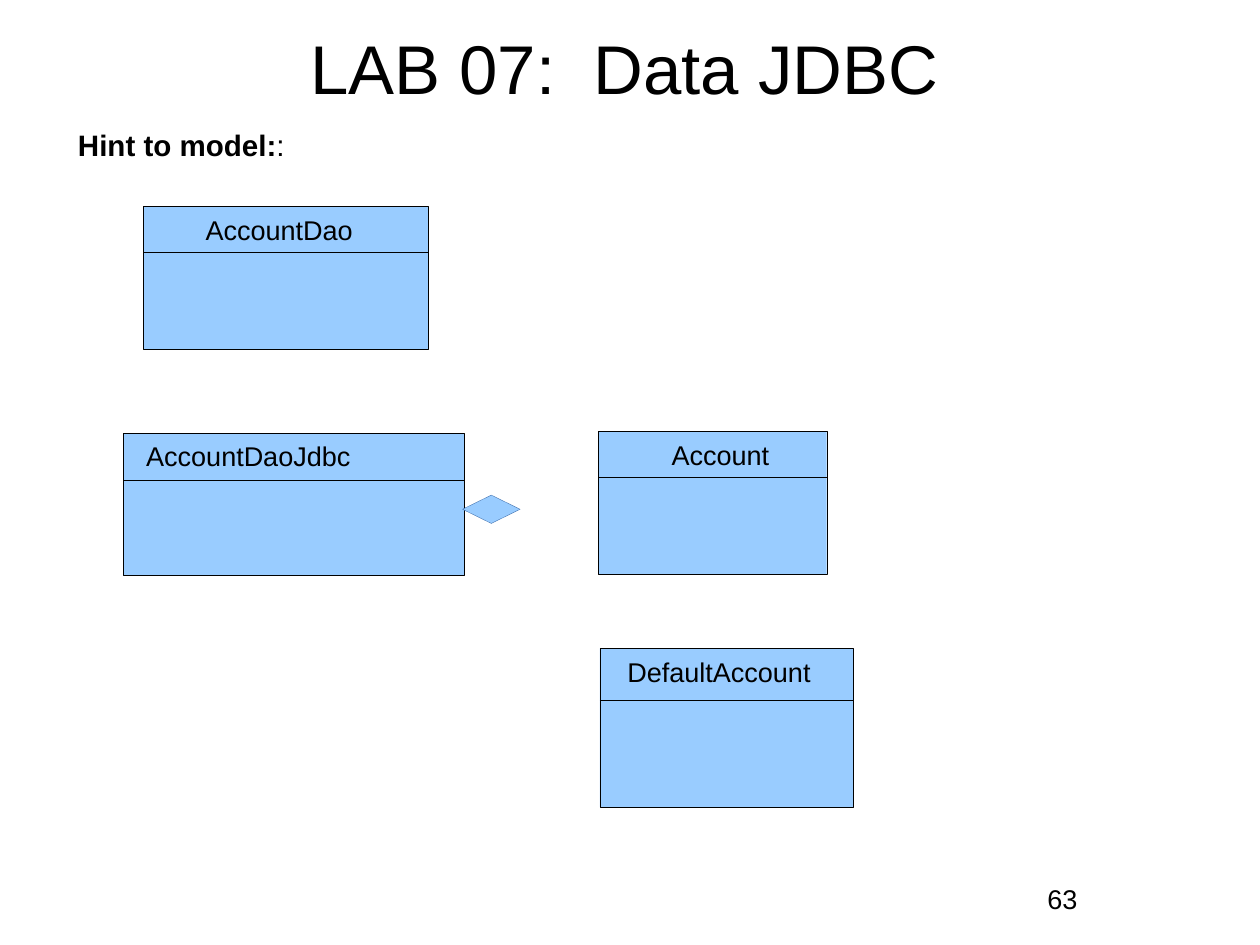
from pptx import Presentation, util as u
from pptx.dml.color import RGBColor
from pptx.enum import shapes, text
from pptx.oxml.ns import qn
from lxml import etree

BLACK = RGBColor(0x00, 0x00, 0x00)
SKY = RGBColor(0x99, 0xCC, 0xFF)
EDGE = RGBColor(0x34, 0x65, 0xA4)
HAIRLINE = u.Pt(0.25)
FONT = "Arial"
PAD = 0.06
NAME_DROP = 0.05  # from the top of a class box to its name

# Content: paragraphs are lists of (wording, bold)
TITLE = [("LAB 07:  Data JDBC", False)]
HINT = [("Hint to model:", True), (":", False)]
PAGE = [("63", False)]

# Class name, box (left, top, width, height), header height, name indent, name width
CLASSES = [
    ("AccountDao", (1.62, 2.33, 3.21, 1.61), 0.52, 0.64, 2.5),
    ("AccountDaoJdbc", (1.39, 4.89, 3.85, 1.61), 0.53, 0.2, 3.37),
    ("Account", (6.75, 4.87, 2.58, 1.61), 0.52, 0.77, 1.5),
    ("DefaultAccount", (6.77, 7.32, 2.86, 1.79), 0.58, 0.25, 2.45),
]
AGGREGATION = (5.22, 5.59, 0.65, 0.32)


def inches(*lengths):
    return [u.Inches(length) for length in lengths]


def write(holder, runs, size, pad=0, align=text.PP_ALIGN.LEFT,
          anchor=text.MSO_ANCHOR.TOP):
    frame = holder.text_frame
    frame.word_wrap = True
    frame.auto_size = text.MSO_AUTO_SIZE.NONE
    frame.vertical_anchor = anchor
    frame.margin_left = frame.margin_right = u.Inches(pad)
    frame.margin_top = frame.margin_bottom = u.Inches(pad)
    line = frame.paragraphs[0]
    line.alignment = align
    line.line_spacing = 0.93
    for wording, bold in runs:
        run = line.add_run()
        run.text = wording
        run.font.name, run.font.size, run.font.bold = FONT, u.Pt(size), bold
        run.font.color.rgb = BLACK


def outline(part, color):
    part.line.color.rgb = color
    part.line.width = HAIRLINE


def add_filled(parent, kind, place, edge):
    part = parent.add_shape(kind, *inches(*place))
    part.shadow.inherit = False
    part.fill.solid()
    part.fill.fore_color.rgb = SKY
    outline(part, edge)


def add_class(slide, name, box, header, indent, name_width):
    left, top, width, _ = box
    parts = slide.shapes.add_group_shape().shapes
    add_filled(parts, shapes.MSO_SHAPE.RECTANGLE, box, BLACK)
    divider = parts.add_connector(
        shapes.MSO_CONNECTOR.STRAIGHT,
        *inches(left, top + header, left + width, top + header))
    outline(divider, BLACK)
    etree.SubElement(divider._element.spPr, qn("a:effectLst"))
    label = parts.add_textbox(
        *inches(left + indent, top + NAME_DROP, name_width, 0.48))
    write(label, [(name, False)], 22, PAD)


deck = Presentation()
deck.slide_width, deck.slide_height = inches(14.22, 10.67)
slide = deck.slides.add_slide(deck.slide_layouts[5])

# Title, hint and page number
title = slide.shapes.title
title.left, title.top, title.width, title.height = inches(0.65, 0.32, 12.8, 0.97)
write(title, TITLE, 56, align=text.PP_ALIGN.CENTER, anchor=text.MSO_ANCHOR.MIDDLE)
write(slide.shapes.add_textbox(*inches(0.82, 1.41, 2.75, 0.5)), HINT, 24, PAD)
write(slide.shapes.add_textbox(*inches(11.82, 10, 2.36, 0.35)), PAGE, 22)

# Class diagram
for entry in CLASSES:
    add_class(slide, *entry)
add_filled(slide.shapes, shapes.MSO_SHAPE.DIAMOND, AGGREGATION, EDGE)

deck.save("out.pptx")
